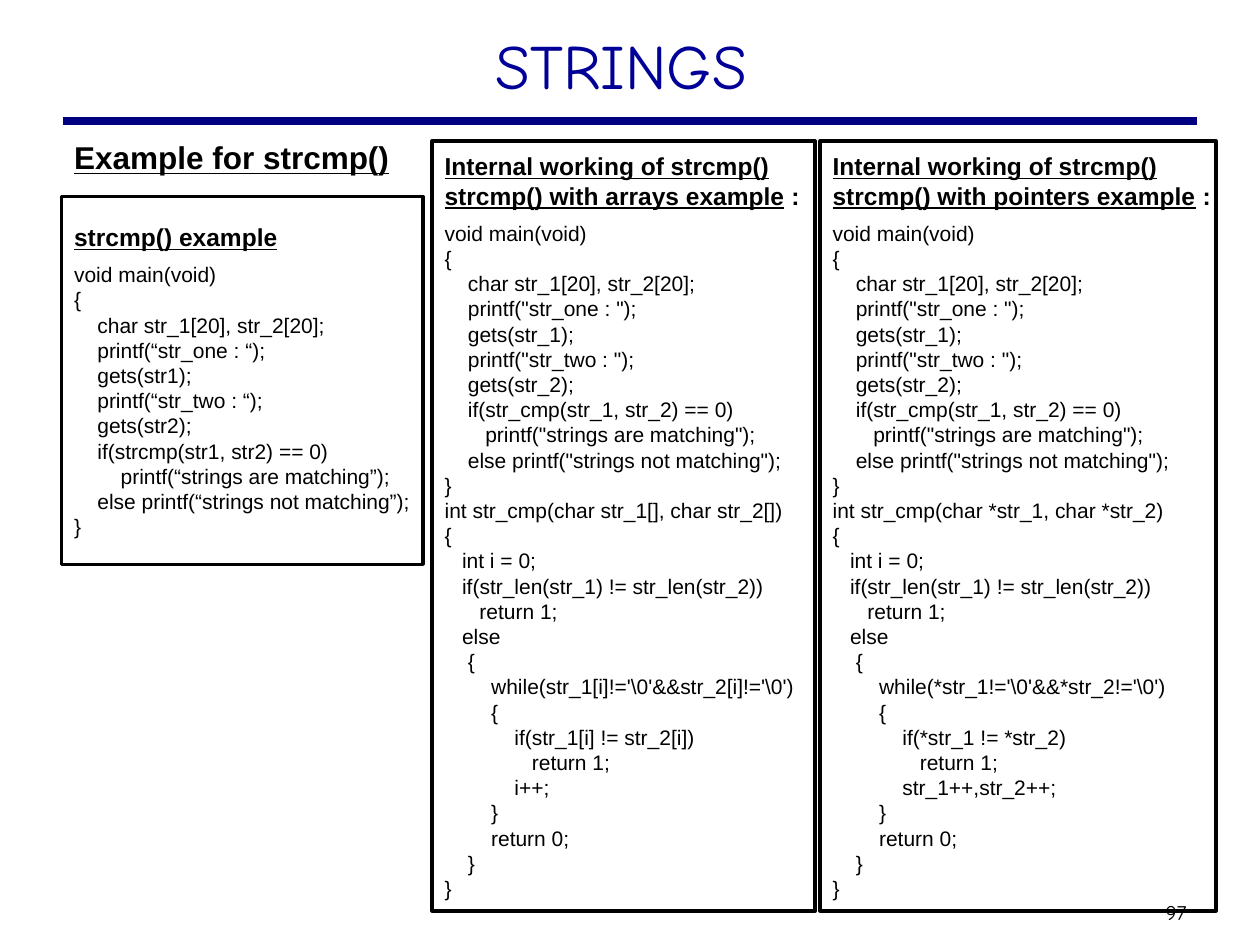
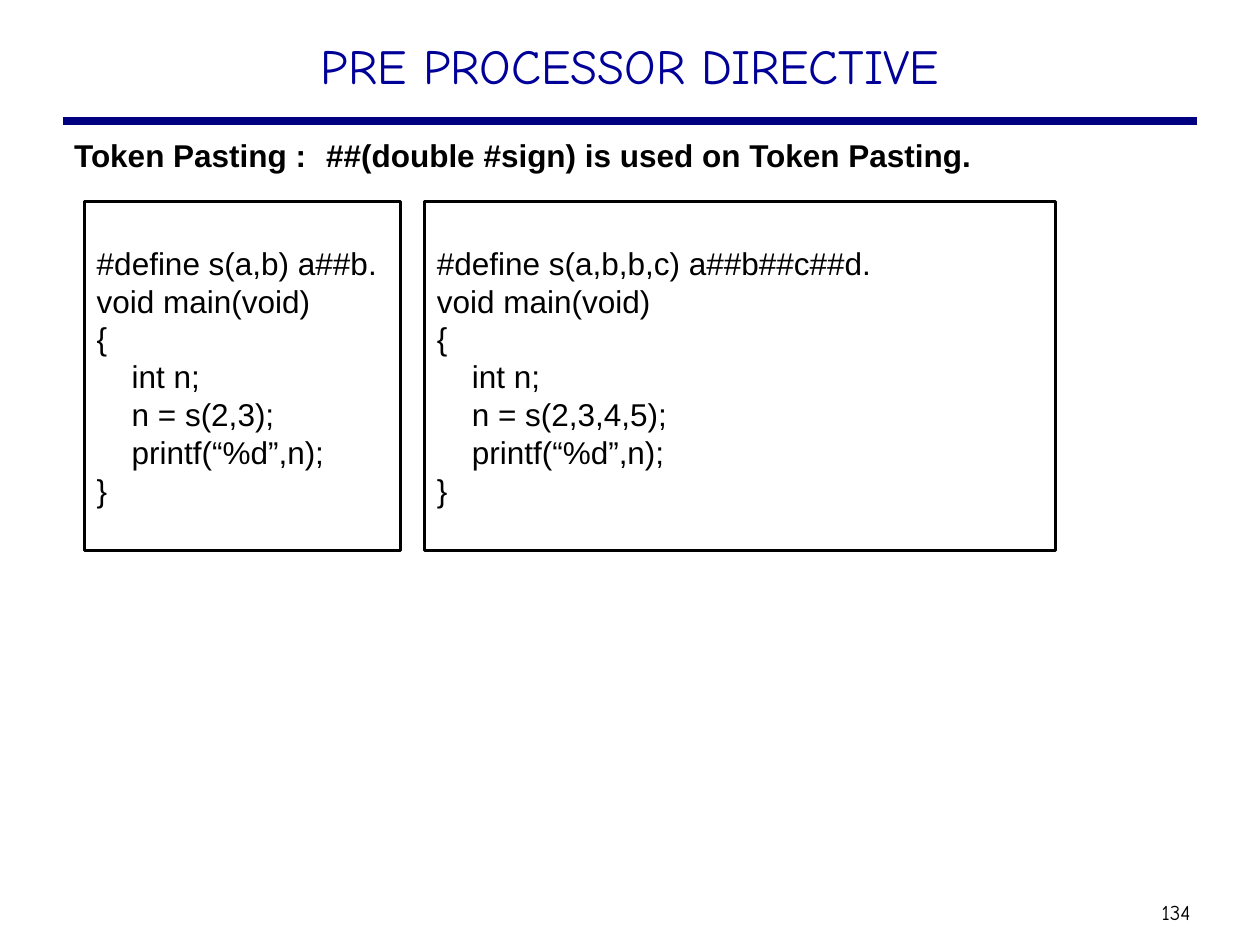
from dataclasses import dataclass

from lxml.etree import SubElement
from pptx import Presentation
from pptx.dml.color import RGBColor
from pptx.enum.shapes import MSO_CONNECTOR, MSO_SHAPE
from pptx.enum.text import MSO_ANCHOR, PP_ALIGN
from pptx.oxml.ns import qn
from pptx.util import Pt

# Shared style
TITLE_BLUE = "000099"
RULE_NAVY = "000080"
BLACK = "000000"
TITLE_FONT = "Comic Neue"
BODY_FONT = "Arial"
BODY_LEFT, BODY_WIDTH = 35.3, 647
HEADING_GAP = 5.75


@dataclass
class CodeBox:
    left: float
    top: float
    width: float
    height: float
    code: str
    size: float = 12
    # Each heading is an underlined part and a plain ending
    headings: tuple[tuple[str, str], ...] = ()


@dataclass
class Page:
    title: str
    title_size: float
    title_top: float
    title_height: float
    title_right_inset: float
    heading: str
    heading_underline: bool
    heading_top: float
    heading_height: float
    heading_inset: float
    boxes: tuple[CodeBox, ...]
    number: str


def color(value: str) -> RGBColor:
    return RGBColor.from_string(value)


def set_frame(frame, inset_left=7.2, inset_top=3.6, inset_right=7.2, inset_bottom=3.6,
              anchor=MSO_ANCHOR.TOP):
    frame.word_wrap = True
    frame.vertical_anchor = anchor
    frame.margin_left, frame.margin_right = Pt(inset_left), Pt(inset_right)
    frame.margin_top, frame.margin_bottom = Pt(inset_top), Pt(inset_bottom)
    return frame


def next_paragraph(frame):
    last = frame.paragraphs[-1]
    return frame.add_paragraph() if last.runs else last


def write(paragraph, text: str, *, size: float, font=BODY_FONT, fill=BLACK,
          bold=False, underline=False, align=PP_ALIGN.LEFT) -> None:
    paragraph.alignment = align
    run = paragraph.add_run()
    run.text = text
    run.font.name = font
    run.font.size = Pt(size)
    run.font.bold = bold
    run.font.underline = underline
    run.font.color.rgb = color(fill)


def add_text_frame(slide, left: float, top: float, width: float, height: float, **insets):
    box = slide.shapes.add_textbox(Pt(left), Pt(top), Pt(width), Pt(height))
    return set_frame(box.text_frame, **insets)


def add_rule(slide) -> None:
    rule = slide.shapes.add_connector(
        MSO_CONNECTOR.STRAIGHT, Pt(36), Pt(69.1), Pt(684), Pt(69.1))
    rule.line.color.rgb = color(RULE_NAVY)
    rule.line.width = Pt(4.5)
    SubElement(rule._element.spPr, qn("a:effectLst"))


def add_page_number(slide, number: str) -> None:
    frame = add_text_frame(slide, 655.2, 510.5, 33.8, 21.6, inset_left=3.6,
                           inset_right=3.6, anchor=MSO_ANCHOR.MIDDLE)
    write(frame.paragraphs[0], number, size=12, font=TITLE_FONT, align=PP_ALIGN.CENTER)


def add_heading(slide, page: Page) -> None:
    frame = add_text_frame(slide, BODY_LEFT, page.heading_top, BODY_WIDTH,
                           page.heading_height, inset_top=page.heading_inset)
    paragraph = frame.paragraphs[0]
    if "\t" in page.heading:
        tabs = SubElement(paragraph._p.get_or_add_pPr(), qn("a:tabLst"))
        SubElement(tabs, qn("a:tab"), pos=str(int(Pt(144))), algn="l")
    write(paragraph, page.heading, size=18, bold=True, underline=page.heading_underline)


def add_code_box(slide, box: CodeBox) -> None:
    shape = slide.shapes.add_shape(MSO_SHAPE.RECTANGLE, Pt(box.left), Pt(box.top),
                                   Pt(box.width), Pt(box.height))
    shape.shadow.inherit = False
    shape.fill.background()
    shape.line.color.rgb = color(BLACK)
    shape.line.width = Pt(2)
    frame = set_frame(shape.text_frame, inset_right=0, anchor=MSO_ANCHOR.MIDDLE)
    for underlined, plain in box.headings:
        paragraph = next_paragraph(frame)
        write(paragraph, underlined, size=14, bold=True, underline=True)
        if plain:
            write(paragraph, plain, size=14, bold=True)
    for index, line in enumerate(box.code.splitlines()):
        paragraph = next_paragraph(frame)
        if index == 0 and box.headings:
            paragraph.space_before = Pt(HEADING_GAP)
        write(paragraph, line, size=box.size)


def add_page(presentation, page: Page) -> None:
    slide = presentation.slides.add_slide(presentation.slide_layouts[6])
    add_rule(slide)
    add_page_number(slide, page.number)
    title = add_text_frame(slide, 54, page.title_top, 612, page.title_height,
                           inset_right=page.title_right_inset)
    write(title.paragraphs[0], page.title, size=page.title_size, font=TITLE_FONT,
          fill=TITLE_BLUE, align=PP_ALIGN.CENTER)
    add_heading(slide, page)
    for box in page.boxes:
        add_code_box(slide, box)


# Code listings
LIBRARY_CODE = """void main(void)
{
    char str_1[20], str_2[20];
    printf(“str_one : “);
    gets(str1);
    printf(“str_two : “);
    gets(str2);
    if(strcmp(str1, str2) == 0)
        printf(“strings are matching”);
    else printf(“strings not matching”);
}"""


def compare_code(parameters: str, loop_test: str, difference: str, step: str) -> str:
    return rf"""void main(void)
{{
    char str_1[20], str_2[20];
    printf("str_one : ");
    gets(str_1);
    printf("str_two : ");
    gets(str_2);
    if(str_cmp(str_1, str_2) == 0)
       printf("strings are matching");
    else printf("strings not matching");
}}
int str_cmp({parameters})
{{
   int i = 0;
   if(str_len(str_1) != str_len(str_2))
      return 1;
   else
    {{
        while({loop_test})
        {{
            if({difference})
               return 1;
            {step};
        }}
        return 0;
    }}
}}"""


def paste_code(macro: str, arguments: str) -> str:
    return f"""#define {macro}.
void main(void)
{{
    int n;
    n = s({arguments});
    printf(“%d”,n);
}}"""


def internal_headings(kind: str) -> tuple[tuple[str, str], ...]:
    return (("Internal working of strcmp()", ""),
            (f"strcmp() with {kind} example", " :"))


ARRAY_CODE = compare_code("char str_1[], char str_2[]",
                          r"str_1[i]!='\0'&&str_2[i]!='\0'",
                          "str_1[i] != str_2[i]", "i++")
POINTER_CODE = compare_code("char *str_1, char *str_2",
                            r"*str_1!='\0'&&*str_2!='\0'",
                            "*str_1 != *str_2", "str_1++,str_2++")

# Slides
PAGES = (
    Page("STRINGS", 36, 11.5, 54.7, 17,
         "Example for strcmp()", True, 75.6, 451.4, 3.6,
         (CodeBox(247, 80.6, 218.9, 440, ARRAY_CODE,
                  headings=internal_headings("arrays")),
          CodeBox(BODY_LEFT, 112.3, 206.6, 210.2, LIBRARY_CODE,
                  headings=(("strcmp() example", ""),)),
          CodeBox(468.7, 80.6, 226.1, 440, POINTER_CODE,
                  headings=internal_headings("pointers"))),
         "97"),
    Page("PRE PROCESSOR DIRECTIVE", 28, 16.6, 46.8, 7.2,
         "Token Pasting :\t##(double #sign) is used on Token Pasting.",
         False, 68.4, 447.8, 9.35,
         (CodeBox(48.2, 115.2, 180.7, 199.4,
                  paste_code("s(a,b) a##b", "2,3"), size=18),
          CodeBox(242.6, 115.2, 360.7, 199.4,
                  paste_code("s(a,b,b,c) a##b##c##d", "2,3,4,5"), size=18)),
         "134"),
)


def main() -> None:
    presentation = Presentation()
    presentation.slide_width, presentation.slide_height = Pt(720), Pt(540)
    for page in PAGES:
        add_page(presentation, page)
    presentation.save("out.pptx")


if __name__ == "__main__":
    main()
